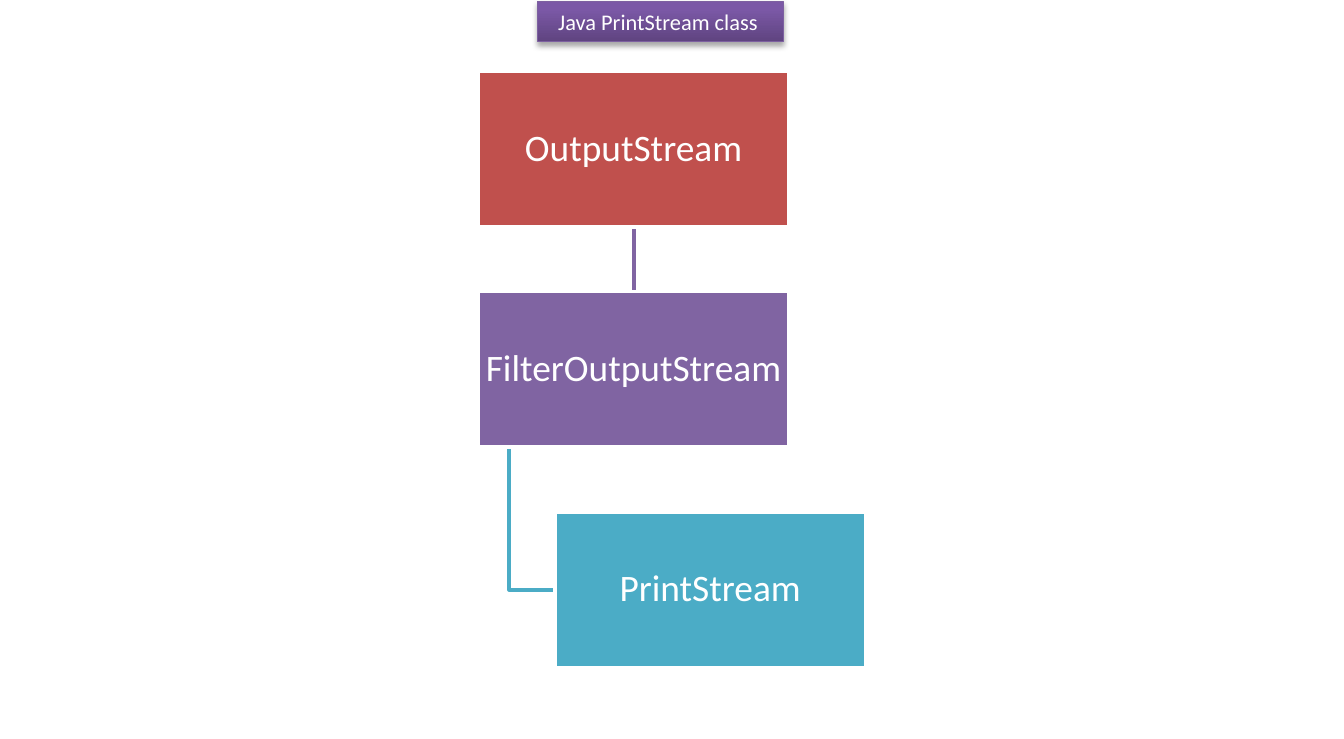
"""Build a slide that shows the class hierarchy of Java PrintStream."""
from lxml import etree
from pptx import Presentation
from pptx.dml.color import RGBColor
from pptx.enum.shapes import MSO_CONNECTOR, MSO_SHAPE
from pptx.enum.text import MSO_ANCHOR, MSO_AUTO_SIZE, PP_ALIGN
from pptx.oxml import parse_xml
from pptx.oxml.ns import nsdecls, qn
from pptx.util import Inches, Pt

RECTANGLE = MSO_SHAPE.RECTANGLE
STRAIGHT = MSO_CONNECTOR.STRAIGHT
TOP, MIDDLE = MSO_ANCHOR.TOP, MSO_ANCHOR.MIDDLE
CENTER = PP_ALIGN.CENTER
NO_AUTOFIT = MSO_AUTO_SIZE.NONE
TITLE_ONLY = 5

FONT = "Calibri"
COLORS = {
    "white": "FFFFFF",
    "red": "C0504D",
    "purple": "8064A2",
    "teal": "4BACC6",
    "title_dark": "5F4480",
    "title_light": "7B58A6",
    "title_line": "7D60A0",
    "shadow": "000000",
}
BOX_WIDTH, BOX_HEIGHT = 2.31, 1.16
BOX_LEFT, BOX_TOP, BOX_STEP = 3.56, 0.53, 1.64
CHILD_LEFT = 4.13
TRUNK_LEFT = 3.79
BOXES = [
    ("OutputStream", BOX_LEFT, "red"),
    ("FilterOutputStream", BOX_LEFT, "purple"),
    ("PrintStream", CHILD_LEFT, "teal"),
]


def color(name):
    return RGBColor.from_string(COLORS[name])


def set_line(shape, name, width):
    shape.line.color.rgb = color(name)
    shape.line.width = Pt(width)


def write_text(shape, text, size, anchor):
    text_frame = shape.text_frame
    text_frame.text = text
    text_frame.word_wrap = True
    text_frame.auto_size = NO_AUTOFIT
    text_frame.vertical_anchor = anchor
    paragraph = text_frame.paragraphs[0]
    paragraph.alignment = CENTER
    font = paragraph.runs[0].font
    font.name = FONT
    font.size = Pt(size)
    font.color.rgb = color("white")


def add_drop_shadow(shape):
    shape._element.spPr.append(parse_xml(
        f'<a:effectLst {nsdecls("a")}>'
        f'<a:outerShdw blurRad="{Pt(3.1)}" dist="{Pt(1.8)}" dir="5400000" rotWithShape="0">'
        f'<a:srgbClr val="{COLORS["shadow"]}"><a:alpha val="35000"/></a:srgbClr>'
        '</a:outerShdw></a:effectLst>'
    ))


def format_title(title, text):
    title.left, title.top = Inches(4), Inches(0.01)
    title.width, title.height = Inches(1.83), Inches(0.3)
    title.fill.gradient()
    title.fill.gradient_angle = 90
    dark, light = title.fill.gradient_stops
    dark.color.rgb, dark.position = color("title_dark"), 0
    light.color.rgb, light.position = color("title_light"), 0.8
    set_line(title, "title_line", 0.75)
    add_drop_shadow(title)
    write_text(title, text, 12, TOP)


def add_straight_link(slide, x, top, bottom, name):
    connector = slide.shapes.add_connector(
        STRAIGHT, Inches(x), Inches(top), Inches(x), Inches(bottom))
    set_line(connector, name, 2)
    etree.SubElement(connector._element.spPr, qn("a:effectLst"))


def add_elbow_link(slide, points, name):
    start, *others = [(Inches(x), Inches(y)) for x, y in points]
    builder = slide.shapes.build_freeform(*start)
    builder.add_line_segments(others, close=False)
    shape = builder.convert_to_shape()
    shape.shadow.inherit = False
    shape.fill.background()
    set_line(shape, name, 2)


def add_class_box(slide, text, left, top, name):
    shape = slide.shapes.add_shape(
        RECTANGLE, Inches(left), Inches(top), Inches(BOX_WIDTH), Inches(BOX_HEIGHT))
    shape.shadow.inherit = False
    shape.fill.solid()
    shape.fill.fore_color.rgb = color(name)
    set_line(shape, "white", 2)
    write_text(shape, text, 20, MIDDLE)
    text_frame = shape.text_frame
    text_frame.margin_left = text_frame.margin_right = Inches(0.01)
    text_frame.margin_top = text_frame.margin_bottom = Inches(0.01)
    text_frame.paragraphs[0].line_spacing = 0.9


def main():
    presentation = Presentation()
    presentation.slide_width, presentation.slide_height = Inches(10), Inches(5.5)
    slide = presentation.slides.add_slide(presentation.slide_layouts[TITLE_ONLY])
    format_title(slide.shapes.title, "Java PrintStream class ")

    parent_top, filter_top, child_top = [BOX_TOP + i * BOX_STEP for i in range(len(BOXES))]
    child_middle = child_top + BOX_HEIGHT / 2
    add_elbow_link(slide, [(TRUNK_LEFT, filter_top + BOX_HEIGHT),
                           (TRUNK_LEFT, child_middle),
                           (CHILD_LEFT, child_middle)], "teal")
    add_straight_link(slide, BOX_LEFT + BOX_WIDTH / 2,
                      parent_top + BOX_HEIGHT, filter_top, "purple")
    for (text, left, name), top in zip(BOXES, (parent_top, filter_top, child_top)):
        add_class_box(slide, text, left, top, name)

    presentation.save("out.pptx")


if __name__ == "__main__":
    main()
